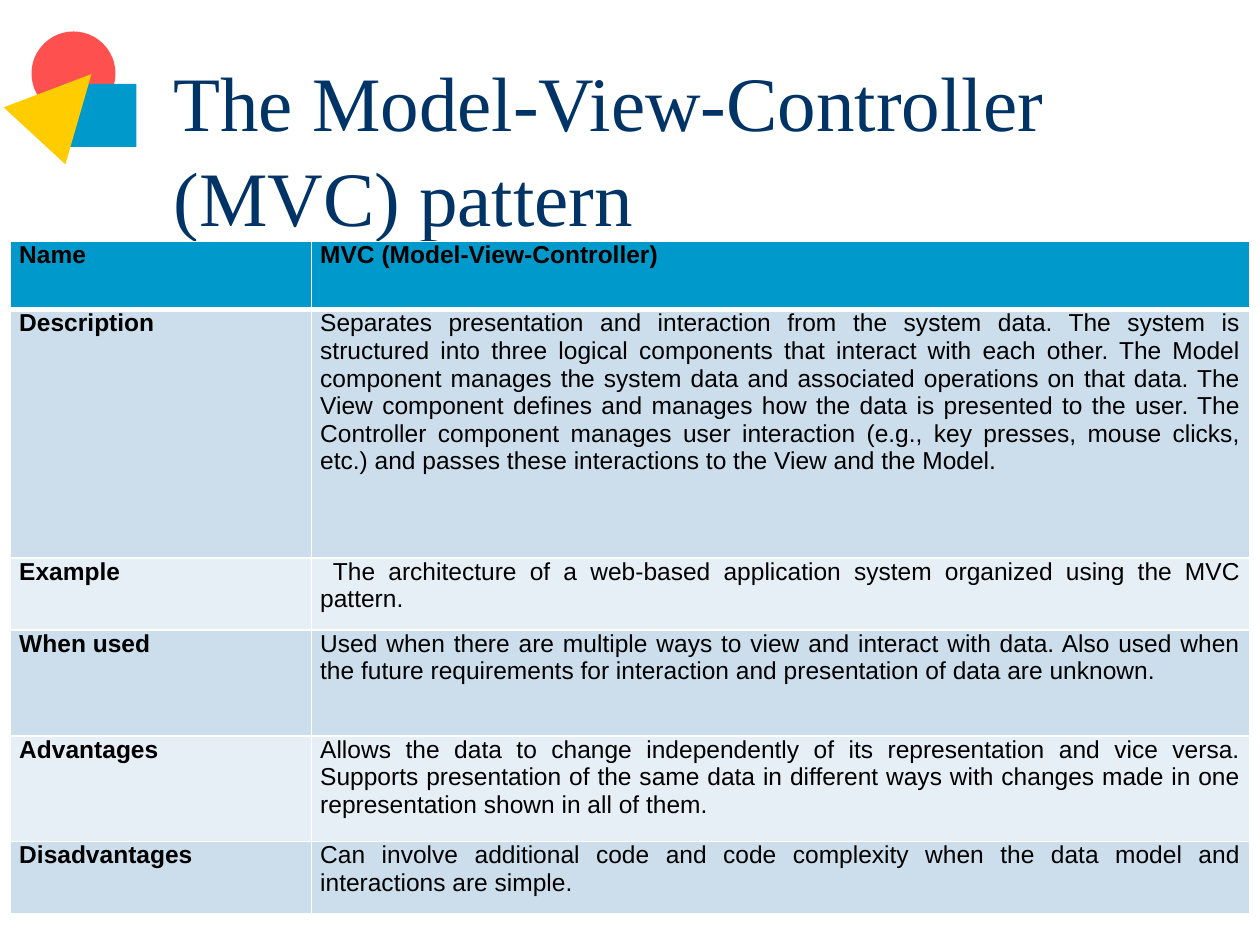
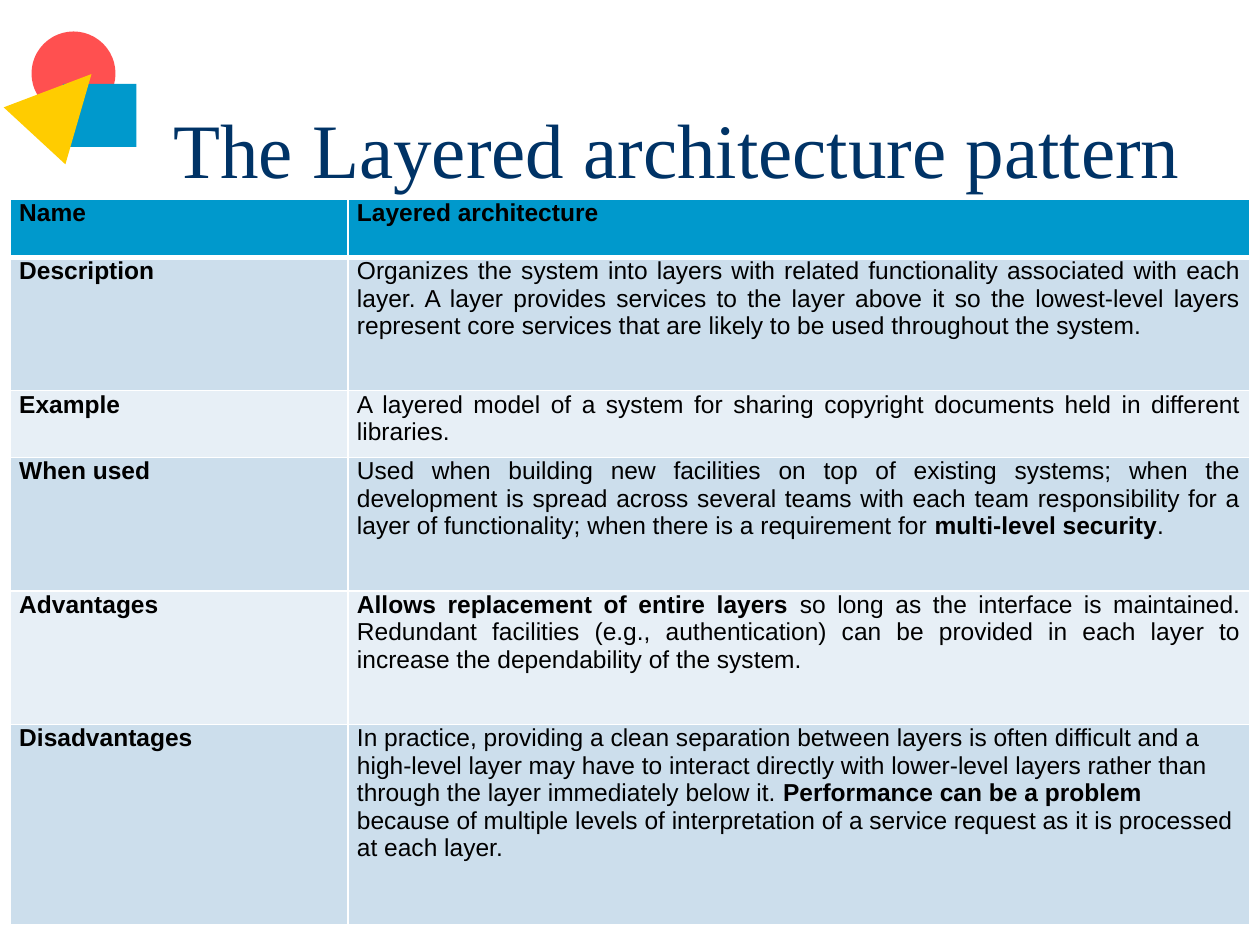
from dataclasses import dataclass

from lxml import etree
from pptx import Presentation
from pptx.dml.color import RGBColor
from pptx.enum.shapes import MSO_SHAPE
from pptx.enum.text import MSO_ANCHOR, PP_ALIGN
from pptx.oxml.ns import qn
from pptx.util import Pt

OVAL, RECT = MSO_SHAPE.OVAL, MSO_SHAPE.RECTANGLE
TRI = MSO_SHAPE.ISOSCELES_TRIANGLE
MIDDLE = MSO_ANCHOR.MIDDLE
LEFT, JUST = PP_ALIGN.LEFT, PP_ALIGN.JUSTIFY


@dataclass(frozen=True)
class Theme:
    red: str = "FF5050"
    blue: str = "0099CC"
    gold: str = "FFCC00"
    navy: str = "003366"
    ink: str = "000000"
    rule: str = "FFFFFF"
    bands: tuple = ("E7EFF6", "CCDEEC")
    serif: str = "Times New Roman"
    sans: str = "Arial"
    title: int = 44
    body: int = 14


T = Theme()
rgb = RGBColor.from_string

# Preset, left, top, width, height, turn, fill
BADGE = [
    (OVAL, 18, 18, 48, 48, 0, T.red),
    (RECT, 36, 48, 42, 36, 0, T.blue),
    (TRI, 12, 36, 48, 48, 42.7, T.gold),
]
LABELS = ["Name", "Description", "Example", "When used", "Advantages", "Disadvantages"]
EDGE, WIDTH = 6, 708

# Text between double asterisks is bold.
PAGES = [
    dict(
        title="The Model-View-Controller (MVC) pattern",
        top=138,
        first=172,
        rows=[39, 142, 41, 60.5, 60.5, 41],
        last=JUST,
        texts=[
            "**MVC (Model-View-Controller)**",
            "Separates presentation and interaction from the system data. The system is "
            "structured into three logical components that interact with each other. The "
            "Model component manages the system data and associated operations on that "
            "data. The View component defines and manages how the data is presented to the "
            "user. The Controller component manages user interaction (e.g., key presses, "
            "mouse clicks, etc.) and passes these interactions to the View and the Model.",
            " The architecture of a web-based application system organized using the MVC "
            "pattern.",
            "Used when there are multiple ways to view and interact with data. Also used "
            "when the future requirements for interaction and presentation of data are "
            "unknown.",
            "Allows the data to change independently of its representation and vice versa. "
            "Supports presentation of the same data in different ways with changes made in "
            "one representation shown in all of them.",
            "Can involve additional code and code complexity when the data model and "
            "interactions are simple.",
        ],
    ),
    dict(
        title="The Layered architecture pattern",
        top=114,
        first=193,
        rows=[33, 76.3, 38.2, 76.3, 76.3, 114.5],
        last=LEFT,
        texts=[
            "**Layered architecture**",
            "Organizes the system into layers with related functionality associated with "
            "each layer. A layer provides services to the layer above it so the "
            "lowest-level layers represent core services that are likely to be used "
            "throughout the system.",
            "A layered model of a system for sharing copyright documents held in different "
            "libraries.",
            "Used when building new facilities on top of existing systems; when the "
            "development is spread across several teams with each team responsibility for "
            "a layer of functionality; when there is a requirement for "
            "**multi-level security**.",
            "**Allows replacement of entire layers** so long as the interface is "
            "maintained. Redundant facilities (e.g., authentication) can be provided in "
            "each layer to increase the dependability of the system.",
            "In practice, providing a clean separation between layers is often difficult "
            "and a high-level layer may have to interact directly with lower-level layers "
            "rather than through the layer immediately below it. **Performance can be a "
            "problem** because of multiple levels of interpretation of a service request "
            "as it is processed at each layer.",
        ],
    ),
]


def rule_cell(cell, base):
    """Draw the four borders; base is the width of the bottom one in points."""
    props = cell._tc.get_or_add_tcPr()
    for i, side in enumerate("LRTB"):
        line = etree.Element(qn(f"a:ln{side}"), w=str(Pt(base if side == "B" else 1)))
        fill = etree.SubElement(line, qn("a:solidFill"))
        etree.SubElement(fill, qn("a:srgbClr"), val=T.rule)
        props.insert(i, line)


def fill_cell(cell, text, shade, align):
    cell.fill.solid()
    cell.fill.fore_color.rgb = rgb(shade)
    cell.margin_left = cell.margin_right = Pt(5)
    cell.margin_top = cell.margin_bottom = 0
    para = cell.text_frame.paragraphs[0]
    para.alignment = align
    para.font.name, para.font.size = T.sans, Pt(T.body)
    para.font.color.rgb = rgb(T.ink)
    for i, part in enumerate(text.split("**")):
        if part:
            run = para.add_run()
            run.text = part
            run.font.bold = i % 2 == 1


deck = Presentation()
deck.slide_width, deck.slide_height = Pt(720), Pt(540)

for page in PAGES:
    slide = deck.slides.add_slide(deck.slide_layouts[6])

    for kind, x, y, w, h, turn, shade in BADGE:
        shape = slide.shapes.add_shape(kind, Pt(x), Pt(y), Pt(w), Pt(h))
        shape.rotation = turn
        shape.shadow.inherit = False
        shape.fill.solid()
        shape.fill.fore_color.rgb = rgb(shade)
        shape.line.fill.background()

    box = slide.shapes.add_textbox(Pt(92), Pt(36), Pt(612), Pt(90))
    frame = box.text_frame
    frame.word_wrap = True
    frame.vertical_anchor = MIDDLE
    frame.margin_top = Pt(9)
    para = frame.paragraphs[0]
    para.text = page["title"]
    para.line_spacing = 1.03
    para.font.name, para.font.size = T.serif, Pt(T.title)
    para.font.color.rgb = rgb(T.navy)

    rows = page["rows"]
    grid = slide.shapes.add_table(
        len(rows), 2, Pt(EDGE), Pt(page["top"]), Pt(WIDTH), Pt(sum(rows))
    ).table
    grid.columns[0].width = Pt(page["first"])
    grid.columns[1].width = Pt(WIDTH - page["first"])
    for i, (high, label, text) in enumerate(zip(rows, LABELS, page["texts"])):
        grid.rows[i].height = Pt(high)
        shade = T.bands[i % 2] if i else T.blue
        align = page["last"] if i == len(rows) - 1 else JUST
        fill_cell(grid.cell(i, 0), f"**{label}**", shade, JUST)
        fill_cell(grid.cell(i, 1), text, shade, align)
        for cell in grid.rows[i].cells:
            rule_cell(cell, 1 if i else 3)

deck.save("out.pptx")
